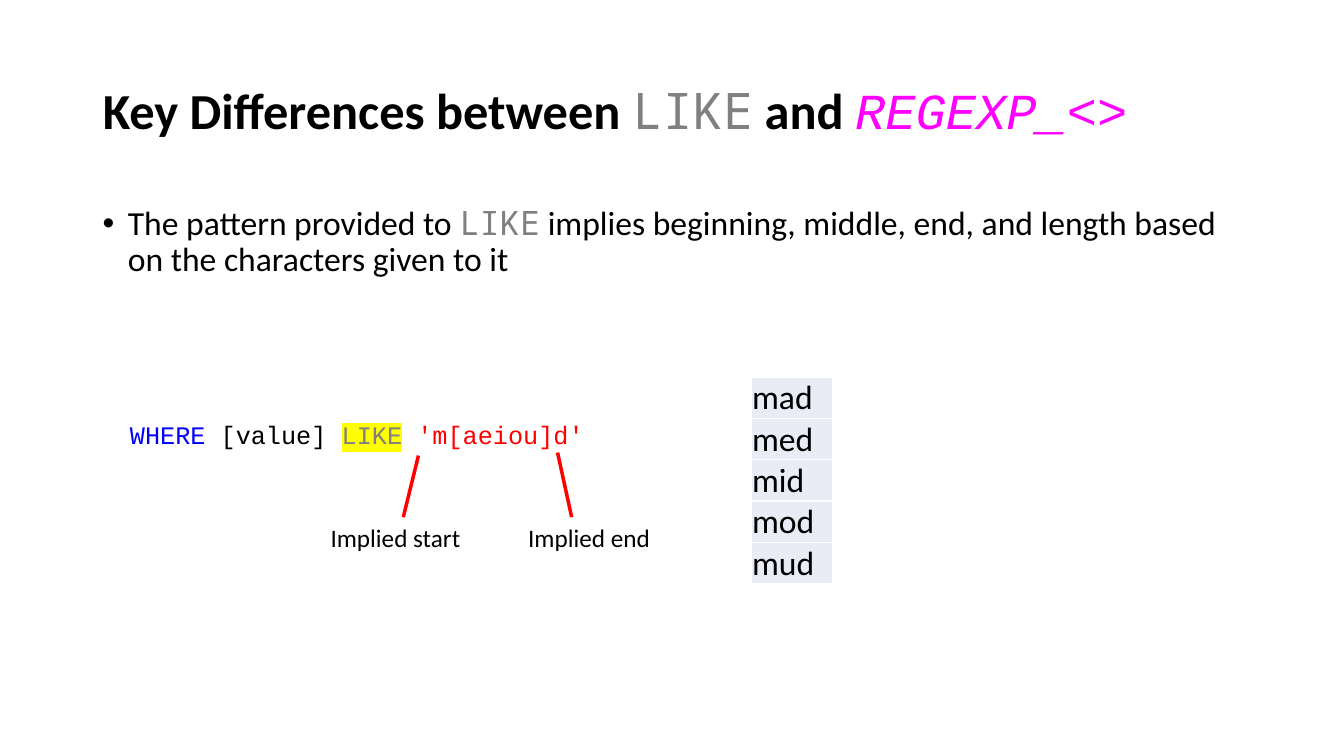
import pptx
import pptx.dml.color
import pptx.enum.shapes
import pptx.enum.text
import pptx.oxml
import pptx.oxml.ns
import pptx.util
from lxml import etree

Inches = pptx.util.Inches
RGBColor = pptx.dml.color.RGBColor
Anchor = pptx.enum.text.MSO_ANCHOR

BLACK = RGBColor(0x00, 0x00, 0x00)
GRAY = RGBColor(0x80, 0x80, 0x80)
MAGENTA = RGBColor(0xFF, 0x00, 0xFF)
BLUE = RGBColor(0x00, 0x00, 0xFF)
RED = RGBColor(0xFF, 0x00, 0x00)
YELLOW = RGBColor(0xFF, 0xFF, 0x00)
WHITE = RGBColor(0xFF, 0xFF, 0xFF)
CELL_FILL = RGBColor(0xE9, 0xEB, 0xF5)

BODY_FONT, CODE_FONT, LIKE_FONT = "Calibri", "Courier New", "Noto Sans Mono"


def add_child(parent, tag, **attributes):
    return etree.SubElement(parent, pptx.oxml.ns.qn(tag), attributes)


def add_color(parent, color):
    add_child(parent, "a:srgbClr", val=str(color))


def place(shape, left, top, width, height):
    values = {"left": left, "top": top, "width": width, "height": height}
    for name, value in values.items():
        setattr(shape, name, Inches(value))


def add_span(para, text, size, color, name=BODY_FONT, highlight=None, **styles):
    span = para.add_run()
    span.text = text
    span.font.color.rgb = color
    if highlight is not None:
        mark = add_child(span.font._element, "a:highlight")
        add_color(mark, highlight)
    formats = {"name": name, "size": pptx.util.Pt(size), **styles}
    for key, value in formats.items():
        setattr(span.font, key, value)


def add_text_box(page, left, top, width, height):
    box = page.shapes.add_textbox(*map(Inches, (left, top, width, height)))
    box.text_frame.word_wrap = True
    return box.text_frame.paragraphs[0]


def format_title(page):
    title = page.shapes.title
    place(title, 0.92, 0.4, 11.5, 1.45)
    title.text_frame.vertical_anchor = Anchor.MIDDLE
    para = title.text_frame.paragraphs[0]
    para.alignment = pptx.enum.text.PP_ALIGN.LEFT
    para.line_spacing = 0.9
    add_span(para, "Key Differences between ", 36, BLACK, bold=True)
    add_span(para, "LIKE", 36, GRAY, LIKE_FONT, bold=False)
    add_span(para, " and ", 36, BLACK, bold=True)
    add_span(para, "REGEXP_<>", 36, MAGENTA, CODE_FONT, bold=False, italic=True)


def add_bullet_text(page):
    para = add_text_box(page, 0.92, 2, 11.5, 4.76)
    properties = para._p.get_or_add_pPr()
    properties.set("marL", str(Inches(0.25)))
    properties.set("indent", str(Inches(-0.25)))
    add_child(properties, "a:buFont", typeface="Arial")
    add_child(properties, "a:buChar", char="•")
    para.line_spacing = 0.9
    add_span(para, "The pattern provided to ", 24, BLACK)
    add_span(para, "LIKE", 24, GRAY, LIKE_FONT)
    add_span(para, " implies beginning, middle, end, and length based "
             "on the characters given to it", 24, BLACK)


def add_code(page):
    para = add_text_box(page, 1.19, 4.11, 6.66, 0.4)
    add_span(para, "WHERE", 18, BLUE, CODE_FONT)
    add_span(para, " [value] ", 18, BLACK, CODE_FONT)
    add_span(para, "LIKE", 18, GRAY, CODE_FONT, YELLOW)
    add_span(para, " ", 18, BLACK, CODE_FONT)
    add_span(para, "'m[aeiou]d'", 18, RED, CODE_FONT)


def add_labels(page):
    para = add_text_box(page, 3.18, 5.13, 3.49, 0.4)
    tabs = add_child(para._p.get_or_add_pPr(), "a:tabLst")
    add_child(tabs, "a:tab", pos=str(Inches(1.96)), algn="l")
    add_span(para, "Implied start\tImplied end", 18, BLACK)


def add_pointer(page, *ends):
    pointer = page.shapes.add_connector(
        pptx.enum.shapes.MSO_CONNECTOR.STRAIGHT, *map(Inches, ends))
    pointer.line.color.rgb = RED
    pointer.line.width = pptx.util.Pt(2.5)
    add_child(pointer._element.spPr, "a:effectLst")


def add_borders(cell):
    properties = cell._tc.get_or_add_tcPr()
    for side in ("a:lnL", "a:lnR", "a:lnT", "a:lnB"):
        border = add_child(properties, side, w=str(pptx.util.Pt(1)))
        add_color(add_child(border, "a:solidFill"), WHITE)


def add_match_table(page, words):
    row_height = 0.41
    frame = page.shapes.add_table(
        len(words), 1, Inches(7.45), Inches(3.74),
        Inches(0.81), Inches(row_height * len(words)))
    frame.table.first_row = False
    formats = {
        "margin_left": Inches(0.01), "margin_right": Inches(0.01),
        "margin_top": Inches(0.01), "margin_bottom": 0,
        "vertical_anchor": Anchor.BOTTOM,
    }
    for row, word in zip(frame.table.rows, words):
        row.height = Inches(row_height)
        cell = row.cells[0]
        add_borders(cell)
        cell.fill.solid()
        cell.fill.fore_color.rgb = CELL_FILL
        for name, value in formats.items():
            setattr(cell, name, value)
        add_span(cell.text_frame.paragraphs[0], word, 24, BLACK)


def main():
    deck = pptx.Presentation()
    deck.slide_width, deck.slide_height = Inches(13.33), Inches(7.5)
    page = deck.slides.add_slide(deck.slide_layouts.get_by_name("Title Only"))

    # Title and explanation
    format_title(page)
    add_bullet_text(page)

    # Example query and the words it matches
    add_code(page)
    add_match_table(page, ["mad", "med", "mid", "mod", "mud"])

    # Labels with pointers to the ends of the pattern
    add_labels(page)
    add_pointer(page, 4.15, 4.52, 4, 5.13)
    add_pointer(page, 5.53, 4.49, 5.67, 5.13)

    deck.save("out.pptx")


if __name__ == "__main__":
    main()
